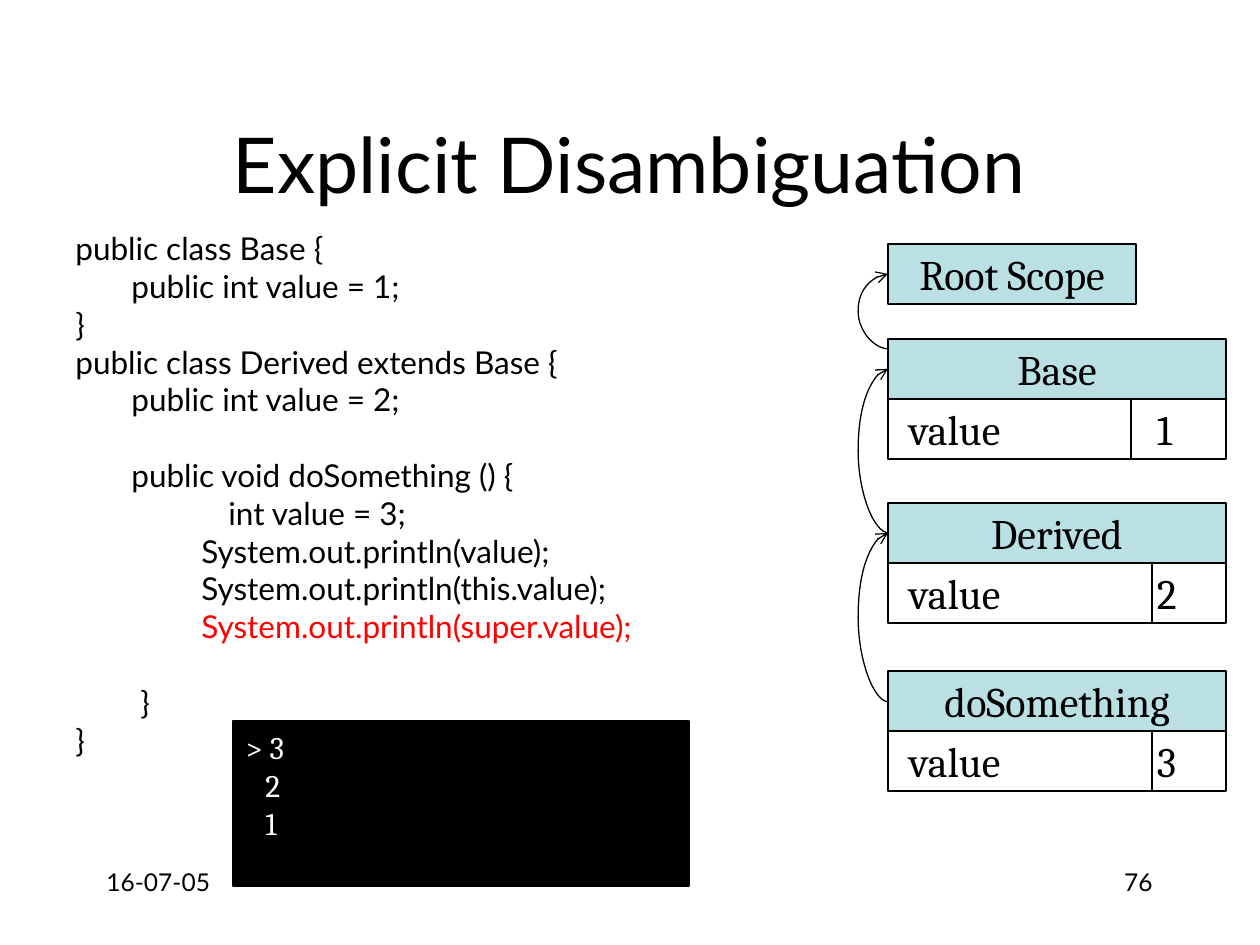
from lxml.etree import SubElement
from pptx import Presentation
from pptx.dml.color import RGBColor
from pptx.enum.shapes import MSO_CONNECTOR as Connector, MSO_SHAPE as Shape
from pptx.enum.text import MSO_ANCHOR as Anchor, PP_ALIGN as Align
from pptx.oxml.ns import qn
from pptx.util import Pt

PX = 914400 // 126
COLORS = {"black": "000000", "white": "FFFFFF", "red": "FF0000", "scope": "BBE0E3"}
SANS, SERIF = "Lato", "Cambria"
SCOPE_LEFT, SCOPE_WIDTH, ROW_HEIGHT = 888, 338, 60
VALUE_TAB = 248
ARROW_BULGE = 30

CODE = [
    ("public class Base {", 0, 0, "black"),
    ("public int value = 1;", 56, 0, "black"),
    ("}", 0, 0, "black"),
    ("public class Derived extends Base {", 0, 0, "black"),
    ("public int value = 2;", 56, 0, "black"),
    ("public void doSomething () {", 56, 1, "black"),
    ("int value = 3;", 153, 0, "black"),
    ("System.out.println(value);", 126, 0, "black"),
    ("System.out.println(this.value);", 126, 0, "black"),
    ("System.out.println(super.value);", 126, 0, "red"),
    ("}", 65, 1, "black"),
    ("}", 0, 0, "black"),
]
CONSOLE = [("> 3", 0, 0, "white"), ("2", 20, 0, "white"), ("1", 20, 0, "white")]
SCOPES = [("Base", "1", 339, 1131), ("Derived", "2", 503, 1152), ("doSomething", "3", 671, 1152)]
ARROWS = [(349, 274), (533, 369), (702, 533)]


def px(*lengths):
    return [length * PX for length in lengths]


def rgb(name):
    return RGBColor.from_string(COLORS[name])


def style(paragraph, size, font, color="black", align=Align.LEFT):
    paragraph.alignment = align
    paragraph.font.size = Pt(size)
    paragraph.font.name = font
    paragraph.font.color.rgb = rgb(color)


def write_lines(frame, lines, font):
    for number, (text, indent, gap_lines, color) in enumerate(lines):
        paragraph = frame.add_paragraph() if number else frame.paragraphs[0]
        paragraph.text = text
        style(paragraph, 18, font, color)
        paragraph.space_before = Pt(21.6 * gap_lines)
        properties = paragraph._p.get_or_add_pPr()
        properties.set("marL", str(indent * PX))
        properties.set("indent", "0")


def add_text_box(slide, box):
    frame = slide.shapes.add_textbox(*px(*box)).text_frame
    frame.word_wrap = True
    return frame


def add_footer(slide, left, text, align):
    paragraph = add_text_box(slide, (left, 861, 262, 63)).paragraphs[0]
    paragraph.text = text
    style(paragraph, 14, SANS, align=align)


def add_box(slide, box, fill):
    shape = slide.shapes.add_shape(Shape.RECTANGLE, *px(*box))
    shape.shadow.inherit = False
    shape.fill.solid()
    shape.fill.fore_color.rgb = rgb(fill)
    shape.line.color.rgb = rgb("black")
    shape.line.width = Pt(0.75)
    return shape


def add_label(slide, box, text, fill="scope", align=Align.CENTER):
    frame = add_box(slide, box, fill).text_frame
    frame.vertical_anchor = Anchor.MIDDLE
    paragraph = frame.paragraphs[0]
    paragraph.text = text
    style(paragraph, 24, SERIF, align=align)
    return frame


def add_line(slide, kind, start, end):
    connector = slide.shapes.add_connector(kind, *px(*start, *end))
    connector.line.color.rgb = rgb("black")
    connector.line.width = Pt(0.75)
    SubElement(connector._element.spPr, qn("a:effectLst"))
    return connector


def add_scope(slide, name, value, top, divider):
    row_top = top + ROW_HEIGHT
    row = (SCOPE_LEFT, row_top, SCOPE_WIDTH, ROW_HEIGHT)
    frame = add_label(slide, row, f"value\t{value}", "white", Align.LEFT)
    frame.margin_left = 21 * PX
    properties = frame.paragraphs[0]._p.get_or_add_pPr()
    tabs = properties.makeelement(qn("a:tabLst"), {})
    SubElement(tabs, qn("a:tab"), pos=str(VALUE_TAB * PX), algn="l")
    properties.insert_element_before(tabs, "a:defRPr", "a:extLst")
    add_line(slide, Connector.STRAIGHT, (divider, row_top), (divider, row_top + ROW_HEIGHT))
    add_label(slide, (SCOPE_LEFT, top, SCOPE_WIDTH, ROW_HEIGHT), name)


def add_parent_arrow(slide, start_y, end_y):
    connector = add_line(slide, Connector.CURVE, (SCOPE_LEFT + 1, start_y), (SCOPE_LEFT, end_y))
    geometry = connector._element.spPr.find(qn("a:prstGeom"))
    adjustments = geometry.find(qn("a:avLst"))
    SubElement(adjustments, qn("a:gd"), name="adj1", fmla=f"val {(ARROW_BULGE + 1) * 100000}")
    outline = connector.line._get_or_add_ln()
    SubElement(outline, qn("a:tailEnd"), type="arrow")


def add_title(slide, text):
    title = slide.shapes.title
    title.left, title.top, title.width, title.height = px(94, 84, 1071, 157)
    title.text_frame.vertical_anchor = Anchor.MIDDLE
    paragraph = title.text_frame.paragraphs[0]
    paragraph.text = text
    style(paragraph, 44, SANS, align=Align.CENTER)


def add_console(slide):
    frame = add_box(slide, (233, 721, 456, 165), "black").text_frame
    frame.vertical_anchor = Anchor.TOP
    frame.margin_top = 7 * PX
    write_lines(frame, CONSOLE, SERIF)


def main():
    presentation = Presentation()
    presentation.slide_width, presentation.slide_height = px(1260, 945)
    slide = presentation.slides.add_slide(presentation.slide_layouts[5])
    add_title(slide, "Explicit Disambiguation")
    add_footer(slide, 94, "16-07-05", Align.LEFT)
    add_footer(slide, 903, "76", Align.RIGHT)
    write_lines(add_text_box(slide, (63, 223, 626, 567)), CODE, SANS)
    add_label(slide, (SCOPE_LEFT, 244, 248, ROW_HEIGHT), "Root Scope")
    for scope in SCOPES:
        add_scope(slide, *scope)
    for start_y, end_y in ARROWS:
        add_parent_arrow(slide, start_y, end_y)
    add_console(slide)
    presentation.save("out.pptx")


if __name__ == "__main__":
    main()
